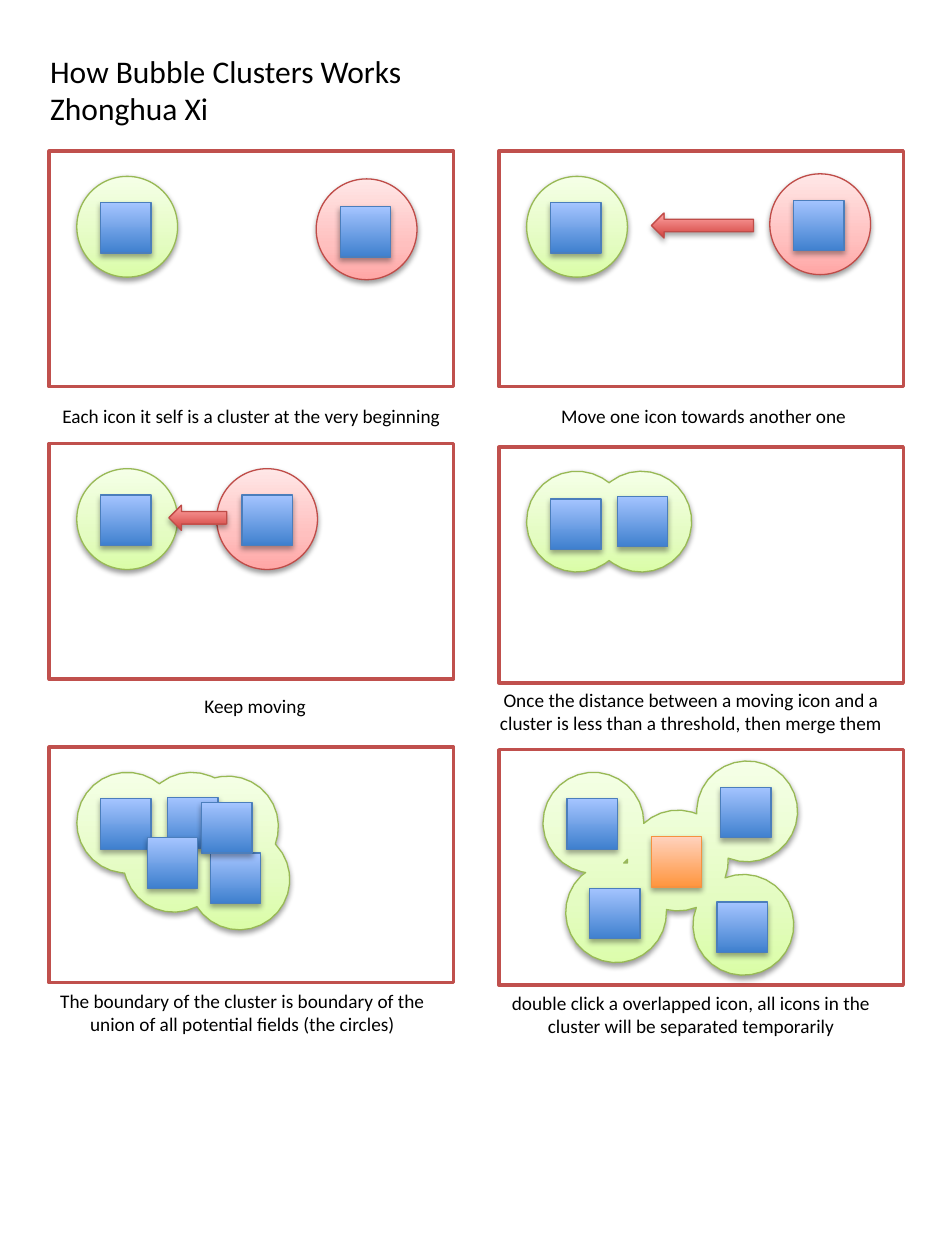
from math import atan2, cos, dist, pi, sin

from lxml.etree import SubElement
from pptx import Presentation
from pptx.dml.color import RGBColor
from pptx.enum.shapes import MSO_SHAPE as Preset
from pptx.enum.text import MSO_ANCHOR as Anchor, PP_ALIGN as Align
from pptx.oxml import parse_xml
from pptx.oxml.ns import nsdecls, qn
from pptx.util import Inches, Pt

COLUMNS, ROWS = 750, 1000
DIAMETER, ICON = 80, 40
PANEL_SIZE = 321, 187
COLORS = {"text": "000000", "panel": "FFFFFF", "border": "C0504D", "shadow": "000000"}
SOFT = {"alpha": 38, "drop": 20000}
DEEP = {"alpha": 35, "drop": 23000}
STYLES = {
    "green": {"stops": {0: "DAFDA7", 35: "E4FCC2", 100: "F5FFE7"}, "line": "98B955", **SOFT},
    "red": {"stops": {0: "FFA6A5", 35: "FFC0BF", 100: "FFE7E7"}, "line": "BF4C48", **SOFT},
    "icon": {"stops": {0: "3F80CE", 100: "A4C4FF"}, "line": "4B7EBC", **DEEP},
    "picked": {"stops": {0: "FF953E", 100: "FFD2BD"}, "line": "F69240", **DEEP},
    "arrow": {"stops": {0: "D1403C", 100: "FFA6A5"}, "line": "BF4C48", **DEEP},
}

deck = Presentation()
deck.slide_width, deck.slide_height = Inches(7.5), Inches(10)
page = deck.slides.add_slide(deck.slide_layouts[6])
CELL = deck.slide_height // ROWS


def cells(*values):
    return [round(value * CELL) for value in values]


def color(name):
    return RGBColor.from_string(COLORS.get(name, name))


def outline(shape, line_color, width):
    shape.shadow.inherit = False
    shape.line.color.rgb = color(line_color)
    shape.line.width = Pt(width)


def decorate(shape, style):
    outline(shape, style["line"], 0.75)
    shape.fill.gradient()
    properties = shape._element.spPr
    stops = "".join(
        f'<a:gs pos="{share * 1000}"><a:srgbClr val="{tone}"/></a:gs>'
        for share, tone in style["stops"].items())
    gradient = parse_xml(
        f'<a:gradFill {nsdecls("a")} rotWithShape="1"><a:gsLst>{stops}</a:gsLst>'
        '<a:lin ang="16200000" scaled="0"/></a:gradFill>')
    properties.replace(properties.find(qn("a:gradFill")), gradient)
    shadow = SubElement(properties.find(qn("a:effectLst")), qn("a:outerShdw"), {
        "blurRad": "40000", "dist": str(style["drop"]), "dir": "5400000", "rotWithShape": "0"})
    tone = SubElement(shadow, qn("a:srgbClr"), val=COLORS["shadow"])
    SubElement(tone, qn("a:alpha"), val=str(style["alpha"] * 1000))


def add_text(box, lines, size, align):
    frame = page.shapes.add_textbox(*cells(*box)).text_frame
    for name, value in {"word_wrap": True, "vertical_anchor": Anchor.TOP}.items():
        setattr(frame, name, value)
    for index, line in enumerate(lines):
        para = frame.add_paragraph() if index else frame.paragraphs[0]
        para.alignment = align
        span = para.add_run()
        span.text = line
        for name, value in {"name": "Calibri", "size": Pt(size)}.items():
            setattr(span.font, name, value)
        span.font.color.rgb = color("text")


def union_boundary(corners, keep_every=12):
    radius, step = DIAMETER / 2, pi / 180
    centres = [(x + radius, y + radius) for x, y in corners]

    def point_at(circle, angle):
        x, y = centres[circle]
        return x + radius * cos(angle), y + radius * sin(angle)

    circle, angle = 0, pi
    points = [point_at(circle, angle)]
    for count in range(1, 360 * len(centres)):
        angle += step
        point = point_at(circle, angle)
        switched = False
        for other, centre in enumerate(centres):
            if other != circle and dist(point, centre) < radius:
                circle, switched = other, True
                angle = atan2(point[1] - centre[1], point[0] - centre[0])
                point = point_at(circle, angle)
                break
        if count > 10 and dist(point, points[0]) < radius * step * 0.9:
            break
        if switched or count % keep_every == 0:
            points.append(point)
    return points


def add_bubble(left, top, corners, hole):
    contours = [union_boundary(corners)] + ([hole] if hole else [])
    placed = [[cells(left + x, top + y) for x, y in contour] for contour in contours]
    builder = page.shapes.build_freeform(*placed[0][0], scale=1.0)
    for index, contour in enumerate(placed):
        if index:
            builder.move_to(*contour[0])
        builder.add_line_segments(contour[1:], close=True)
    decorate(builder.convert_to_shape(), STYLES["green"])


def add_panel(left, top, caption, caption_box, circles=(), icons=(), arrow=None,
              bubble=None, hole=None, picked=None):
    frame = page.shapes.add_shape(Preset.RECTANGLE, *cells(left, top, *PANEL_SIZE))
    frame.fill.solid()
    frame.fill.fore_color.rgb = color("panel")
    outline(frame, "border", 2)
    if bubble:
        add_bubble(left, top, bubble, hole)
    parts = [(Preset.OVAL, style, (x, y, DIAMETER, DIAMETER)) for style, x, y in circles]
    if picked:
        parts.append((Preset.RECTANGLE, "picked", (*picked, ICON, ICON)))
    parts += [(Preset.RECTANGLE, "icon", (x, y, ICON, ICON)) for x, y in icons]
    if arrow:
        parts.append((Preset.LEFT_ARROW, "arrow", arrow))
    for preset, style, (x, y, width, height) in parts:
        shape = page.shapes.add_shape(preset, *cells(left + x, top + y, width, height))
        decorate(shape, STYLES[style])
    x, y, width, height = caption_box
    add_text((left + x, top + y, width, height), [caption], 11, Align.CENTER)


LEFT, RIGHT = 39, 396
HOME = ("green", 22, 20)
PANELS = [
    dict(left=LEFT, top=120, caption="Each icon it self is a cluster at the very beginning",
         caption_box=(0, 196, 321, 29), circles=[HOME, ("red", 212, 22)],
         icons=[(41, 41), (231, 44)]),
    dict(left=RIGHT, top=120, caption="Move one icon towards another one",
         caption_box=(-9, 196, 343, 29), circles=[HOME, ("red", 215, 18)],
         icons=[(41, 41), (234, 39)], arrow=(121, 49, 81, 20)),
    dict(left=LEFT, top=352, caption="Keep moving",
         caption_box=(-8, 194, 343, 29), circles=[HOME, ("red", 133, 20)],
         icons=[(153, 41), (41, 41)], arrow=(95, 49, 46, 20)),
    dict(left=RIGHT, top=355,
         caption="Once the distance between a moving icon and a cluster is less than "
                 "a threshold, then merge them",
         caption_box=(-19, 186, 343, 47), bubble=[(22, 19), (73, 19)],
         icons=[(94, 39), (41, 41)]),
    dict(left=LEFT, top=593,
         caption="The boundary of the cluster is boundary of the union of all "
                 "potential fields (the circles)",
         caption_box=(-18, 187, 343, 47),
         bubble=[(22, 20), (73, 20), (102, 23), (111, 65), (59, 51)],
         icons=[(94, 40), (41, 41), (128, 84), (121, 44), (78, 72)]),
    dict(left=RIGHT, top=595,
         caption="double click a overlapped icon, all icons in the cluster will be "
                 "separated temporarily",
         caption_box=(-19, 187, 343, 47),
         bubble=[(35, 18), (157, 9), (102, 48), (154, 99), (53, 89)],
         hole=[(102, 87), (99, 90), (102, 90)], picked=(121, 69),
         icons=[(54, 39), (176, 30), (173, 121), (72, 110)]),
]

add_text((30, 36, 330, 71), ["How Bubble Clusters Works", "Zhonghua Xi"], 18, Align.LEFT)
for panel in PANELS:
    add_panel(**panel)

deck.save("out.pptx")
